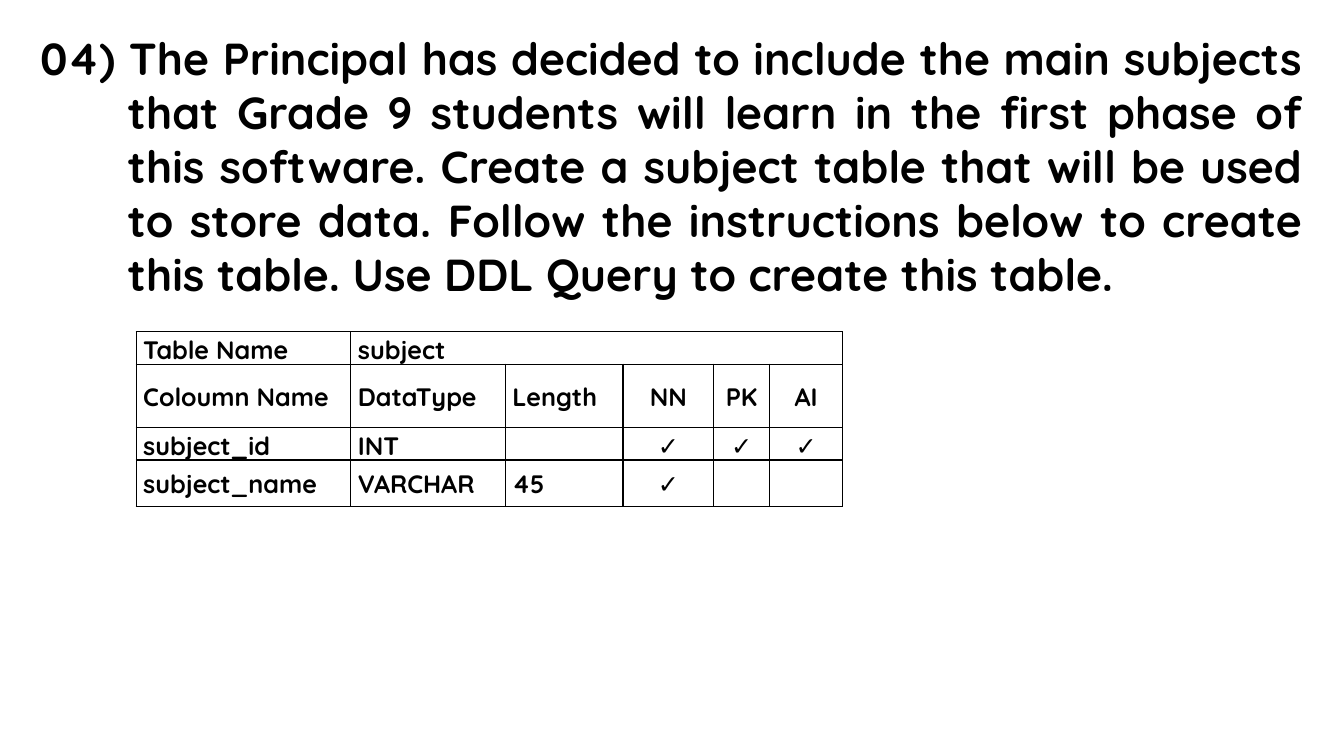
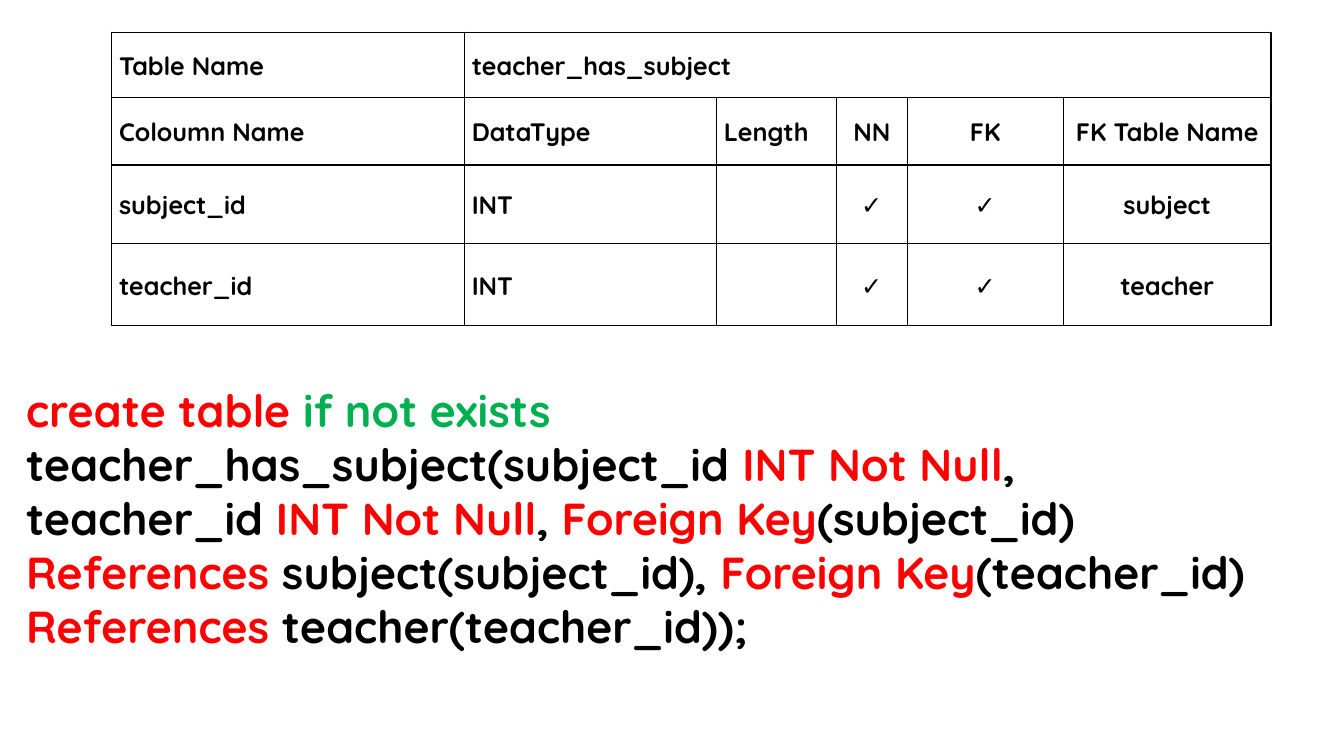
from lxml.etree import SubElement
from pptx import Presentation
from pptx.dml.color import RGBColor
from pptx.enum.text import MSO_ANCHOR, MSO_AUTO_SIZE, PP_ALIGN
from pptx.oxml.ns import qn
from pptx.util import Cm, Pt

FONT = "Quicksand"
BLACK, RED, GREEN = "000000", "FF0000", "00B050"
TEXT_SIZE, CELL_SIZE = 32, 18
FIRST_CENTRED_COLUMN = 3

QUESTION = [
    ("04) The Principal has decided to include the main subjects that Grade 9 "
     "students will learn in the first phase of this software. Create a subject "
     "table that will be used to store data. Follow the instructions below to "
     "create this table. Use DDL Query to create this table.", BLACK),
]
QUERY = [
    ("create table ", RED),
    ("if not exists ", GREEN),
    ("teacher_has_subject(subject_id ", BLACK),
    ("INT Not Null", RED),
    (", teacher_id ", BLACK),
    ("INT Not Null", RED),
    (", ", BLACK),
    ("Foreign Key", RED),
    ("(subject_id) ", BLACK),
    ("References", RED),
    (" subject(subject_id), ", BLACK),
    ("Foreign Key", RED),
    ("(teacher_id) ", BLACK),
    ("References", RED),
    (" teacher(teacher_id));", BLACK),
]
# Lengths are centimetres; the first row names the table and spans the rest.
SUBJECT = {
    "at": (3.43, 8.36),
    "columns": (5.41, 3.89, 2.97, 2.29, 1.4, 1.85),
    "heights": (0.76, 1.6, 0.76, 1.17),
    "rows": [
        ("Table Name", "subject"),
        ("Coloumn Name", "DataType", "Length", "NN", "PK", "AI"),
        ("subject_id", "INT", "", "✓", "✓", "✓"),
        ("subject_name", "VARCHAR", "45", "✓", "", ""),
    ],
}
TEACHER_HAS_SUBJECT = {
    "at": (2.82, 0.81),
    "columns": (8.89, 6.35, 3.02, 1.78, 3.94, 5.23),
    "heights": (1.65, 1.7, 1.98, 2.06),
    "rows": [
        ("Table Name", "teacher_has_subject"),
        ("Coloumn Name", "DataType", "Length", "NN", "FK", "FK Table Name"),
        ("subject_id", "INT", "", "✓", "✓", "subject"),
        ("teacher_id", "INT", "", "✓", "✓", "teacher"),
    ],
}


def colour(value):
    return RGBColor.from_string(value)


def add_span(para, text, size, fill):
    span = para.add_run()
    span.text = text
    span.font.name = FONT
    span.font.size = Pt(size)
    span.font.bold = True
    span.font.color.rgb = colour(fill)


def add_text(page, spans, left, top, width, height):
    box = page.shapes.add_textbox(Cm(left), Cm(top), Cm(width), Cm(height))
    box.text_frame.word_wrap = True
    box.text_frame.auto_size = MSO_AUTO_SIZE.SHAPE_TO_FIT_TEXT
    para = box.text_frame.paragraphs[0]
    for text, fill in spans:
        add_span(para, text, TEXT_SIZE, fill)
    return para


def set_hanging_indent(para, indent):
    properties = para._p.get_or_add_pPr()
    properties.set("marL", str(Cm(indent)))
    properties.set("indent", str(-Cm(indent)))


def style_cell(cell):
    """Give the cell a thin black border, no fill and tight margins."""
    properties = cell._tc.get_or_add_tcPr()
    for side in ("lnL", "lnR", "lnT", "lnB"):
        line = SubElement(properties, qn(f"a:{side}"), w=str(Pt(1)))
        fill = SubElement(line, qn("a:solidFill"))
        SubElement(fill, qn("a:srgbClr"), val=BLACK)
    cell.fill.background()
    cell.vertical_anchor = MSO_ANCHOR.MIDDLE
    cell.margin_left = cell.margin_right = Cm(0.18)
    cell.margin_top = cell.margin_bottom = 0


def add_definition(page, definition):
    """Add the table that describes one database table."""
    columns, heights = definition["columns"], definition["heights"]
    left, top = definition["at"]
    table = page.shapes.add_table(
        len(heights), len(columns), Cm(left), Cm(top),
        Cm(sum(columns)), Cm(sum(heights))).table
    table.first_row = table.horz_banding = False
    for column, width in zip(table.columns, columns):
        column.width = Cm(width)
    for row, height in zip(table.rows, heights):
        row.height = Cm(height)
    for cell in table.iter_cells():
        style_cell(cell)
    table.cell(0, 1).merge(table.cell(0, len(columns) - 1))

    for r, texts in enumerate(definition["rows"]):
        for c, text in enumerate(texts):
            if not text:
                continue
            para = table.cell(r, c).text_frame.paragraphs[0]
            para.line_spacing = 1.07
            para.space_after = Pt(8)
            if c >= FIRST_CENTRED_COLUMN:
                para.alignment = PP_ALIGN.CENTER
            add_span(para, text, CELL_SIZE, BLACK)


def main():
    deck = Presentation()
    deck.slide_width, deck.slide_height = Cm(33.87), Cm(19.05)
    blank = deck.slide_layouts[6]

    page = deck.slides.add_slide(blank)
    question = add_text(page, QUESTION, 0.76, 0.66, 32.33, 7.09)
    question.alignment = PP_ALIGN.JUSTIFY
    set_hanging_indent(question, 2.21)
    add_definition(page, SUBJECT)

    page = deck.slides.add_slide(blank)
    add_definition(page, TEACHER_HAS_SUBJECT)
    add_text(page, QUERY, 0.41, 9.53, 31.62, 7.09)

    deck.save("out.pptx")


if __name__ == "__main__":
    main()
